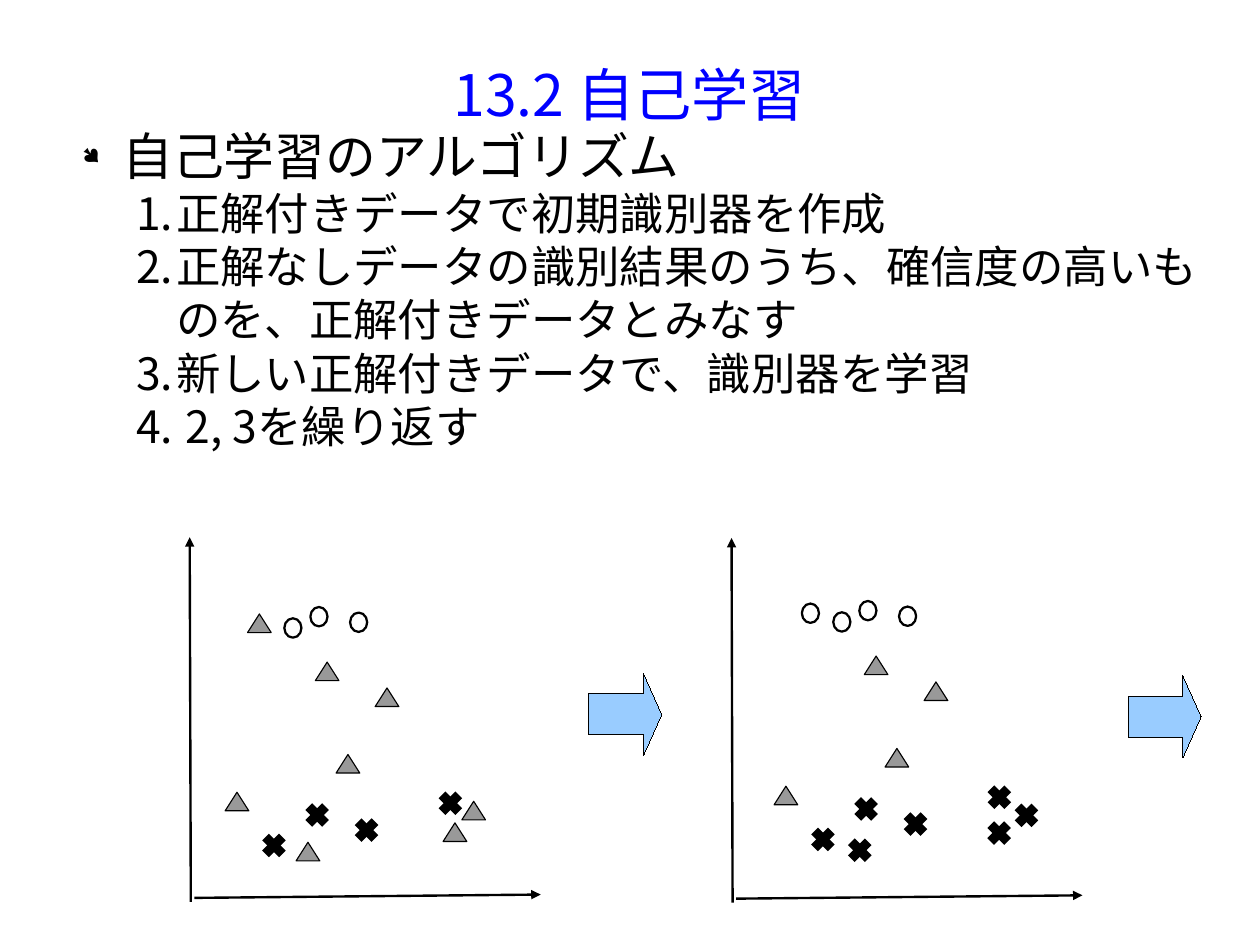
from lxml import etree
from pptx import Presentation
from pptx.dml.color import RGBColor
from pptx.enum import shapes, text
from pptx.oxml import ns
from pptx.util import Pt

FONT = "Noto Sans CJK JP"
BLACK = RGBColor(0x00, 0x00, 0x00)
BLUE = RGBColor(0x00, 0x00, 0xFF)
SKY = RGBColor(0x99, 0xCC, 0xFF)
GREY = RGBColor(0x99, 0x99, 0x99)

# Content
TITLE = "13.2 自己学習"
HEADING = "自己学習のアルゴリズム"
STEPS = [
    "正解付きデータで初期識別器を作成",
    "正解なしデータの識別結果のうち、確信度の高いものを、正解付きデータとみなす",
    "新しい正解付きデータで、識別器を学習",
    " 2, 3を繰り返す",
]

# Plot geometry in points; marks are placed by their centres
AXES = [((120.2, 568.1), (119.5, 338.4)), ((122.4, 565.6), (340.6, 563.5))]
AXES_STEP = (341.3, 0.5)
ARROW = (370.8, 424.1, 46.1, 51.8)
ARROW_STEP = (339.8, 1.4)
MARK_STEP = (345.8, -3.8)
TRIANGLE_SIZE = (14.9, 11.7)
CIRCLE_SIZE = (10.8, 12.2)
CROSS_HALF = 5.3

CIRCLES = [(184.5, 395.6), (225.9, 392), (200.9, 388.5)]
CROSSES = [(172.6, 532.6), (199.8, 513.4), (230.9, 522.9), (283.7, 506)]
UNLABELLED = [(149.3, 504.9), (219.2, 481.1), (206.1, 422.9), (243.8, 439.2)]
CONFIDENT = [(194, 536.4), (286.6, 524.2), (298.4, 510.6), (163.4, 392.6)]
NEW_CIRCLES = [(510.5, 386.3)]
NEW_CROSSES = [(541.6, 535.6), (646.6, 513.6), (629.4, 524.8)]

presentation = Presentation()
presentation.slide_width, presentation.slide_height = Pt(793.7), Pt(595.28)
slide = presentation.slides.add_slide(presentation.slide_layouts[6])


def shift(point, step):
    return point[0] + step[0], point[1] + step[1]


def add_text_frame(left, top, width, height):
    frame = slide.shapes.add_textbox(Pt(left), Pt(top), Pt(width), Pt(height)).text_frame
    frame.word_wrap = True
    frame.margin_left = frame.margin_top = frame.margin_right = frame.margin_bottom = 0
    return frame


def add_run(paragraph, words, size, color):
    run = paragraph.add_run()
    run.text = words
    run.font.size = Pt(size)
    run.font.name = FONT
    run.font.color.rgb = color
    etree.SubElement(run.font._element, ns.qn("a:ea"), typeface=FONT)


def set_bullet(paragraph, indent, tag, **attributes):
    properties = paragraph._p.get_or_add_pPr()
    properties.set("marL", str(Pt(indent)))
    properties.set("indent", str(Pt(-25.2)))
    if tag == "buChar":
        etree.SubElement(properties, ns.qn("a:buSzPct"), val="45000")
        etree.SubElement(properties, ns.qn("a:buFont"), typeface="Wingdings", charset="2")
    etree.SubElement(properties, ns.qn("a:" + tag), **attributes)


def add_line(start, end, width, arrowhead=False):
    line = slide.shapes.add_connector(
        shapes.MSO_CONNECTOR.STRAIGHT, *(Pt(value) for value in (*start, *end)))
    line.line.color.rgb = BLACK
    line.line.width = Pt(width)
    if arrowhead:
        etree.SubElement(line.line._get_or_add_ln(), ns.qn("a:tailEnd"), type="triangle")
    etree.SubElement(line._element.spPr, ns.qn("a:effectLst"))


def add_shape(kind, left, top, width, height, line_width, fill=None):
    shape = slide.shapes.add_shape(kind, Pt(left), Pt(top), Pt(width), Pt(height))
    shape.shadow.inherit = False
    if fill is None:
        shape.fill.background()
    else:
        shape.fill.solid()
        shape.fill.fore_color.rgb = fill
    shape.line.color.rgb = BLACK
    # A hairline needs its zero width written out
    shape.line._get_or_add_ln().set("w", str(Pt(line_width)))
    return shape


def add_mark(kind, center, size, line_width, fill=None):
    add_shape(kind, center[0] - size[0] / 2, center[1] - size[1] / 2, *size, line_width, fill)


def add_cross(center):
    for sign in (1, -1):
        add_line(shift(center, (-CROSS_HALF, -sign * CROSS_HALF)),
                 shift(center, (CROSS_HALF, sign * CROSS_HALF)), 6)


def add_plot(index, circles, crosses, triangles):
    axes_step, arrow_step = ([index * value for value in step]
                             for step in (AXES_STEP, ARROW_STEP))
    for start, end in AXES:
        add_line(shift(start, axes_step), shift(end, axes_step), 1.5, arrowhead=True)
    arrow = add_shape(shapes.MSO_SHAPE.RIGHT_ARROW, *shift(ARROW[:2], arrow_step),
                      *ARROW[2:], 0, SKY)
    arrow.adjustments[0], arrow.adjustments[1] = 0.5, 0.25
    for center in triangles:
        add_mark(shapes.MSO_SHAPE.ISOSCELES_TRIANGLE, center, TRIANGLE_SIZE, 0.71, GREY)
    for center in circles:
        add_mark(shapes.MSO_SHAPE.OVAL, center, CIRCLE_SIZE, 1.42)
    for center in crosses:
        add_cross(center)


# Title
frame = add_text_frame(39.6, 23.8, 714.2, 69.8)
frame.vertical_anchor = text.MSO_ANCHOR.MIDDLE
paragraph = frame.paragraphs[0]
paragraph.alignment = text.PP_ALIGN.CENTER
add_run(paragraph, TITLE, 36, BLUE)

# Algorithm steps
frame = add_text_frame(43.2, 78.5, 714.2, 419)
paragraph = frame.paragraphs[0]
set_bullet(paragraph, 33.8, "buChar", char="●")
add_run(paragraph, HEADING, 32, BLACK)
for step in STEPS:
    paragraph = frame.add_paragraph()
    paragraph.level = 1
    set_bullet(paragraph, 67.7, "buAutoNum", type="arabicPeriod")
    add_run(paragraph, step, 28, BLACK)

# Before and after one round of self-training
add_plot(0, CIRCLES, CROSSES, UNLABELLED + CONFIDENT)
moved_circles, moved_crosses, moved_triangles = (
    [shift(center, MARK_STEP) for center in group]
    for group in (CIRCLES, CROSSES, UNLABELLED))
add_plot(1, moved_circles + NEW_CIRCLES, moved_crosses + NEW_CROSSES, moved_triangles)

presentation.save("out.pptx")
